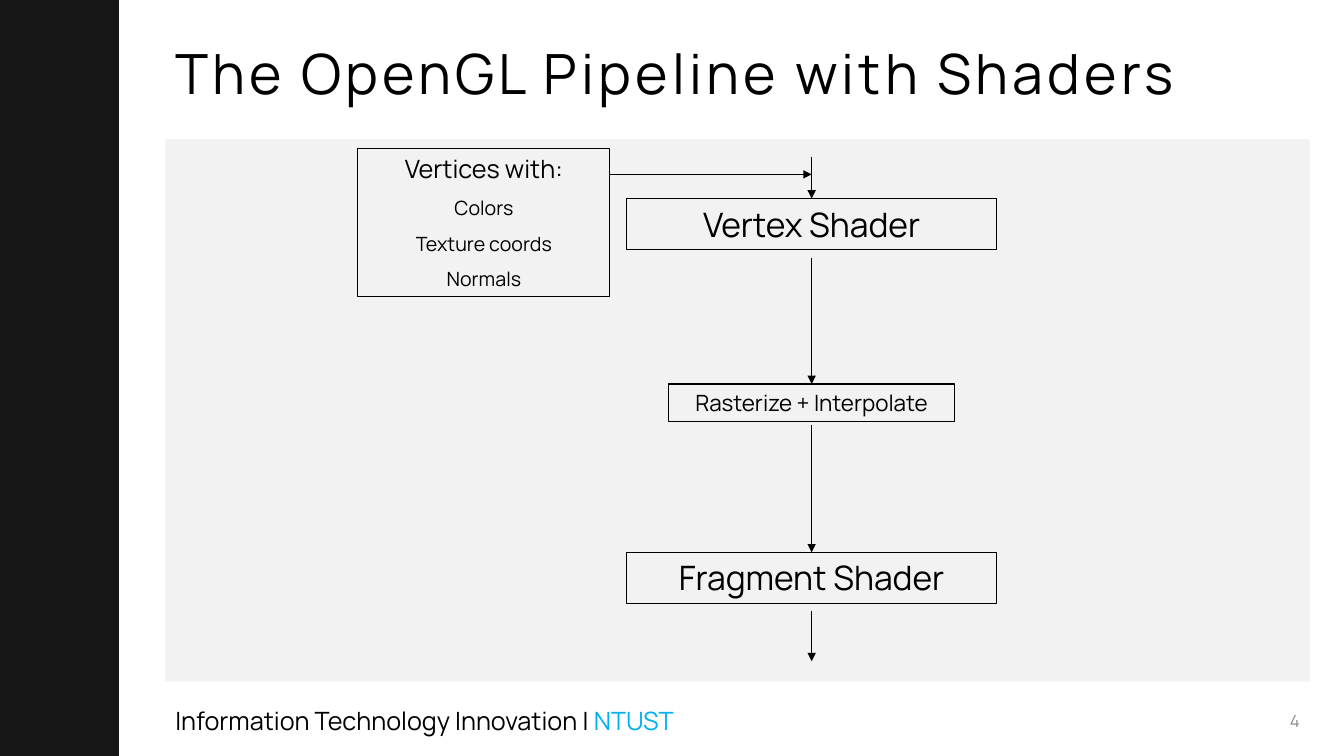
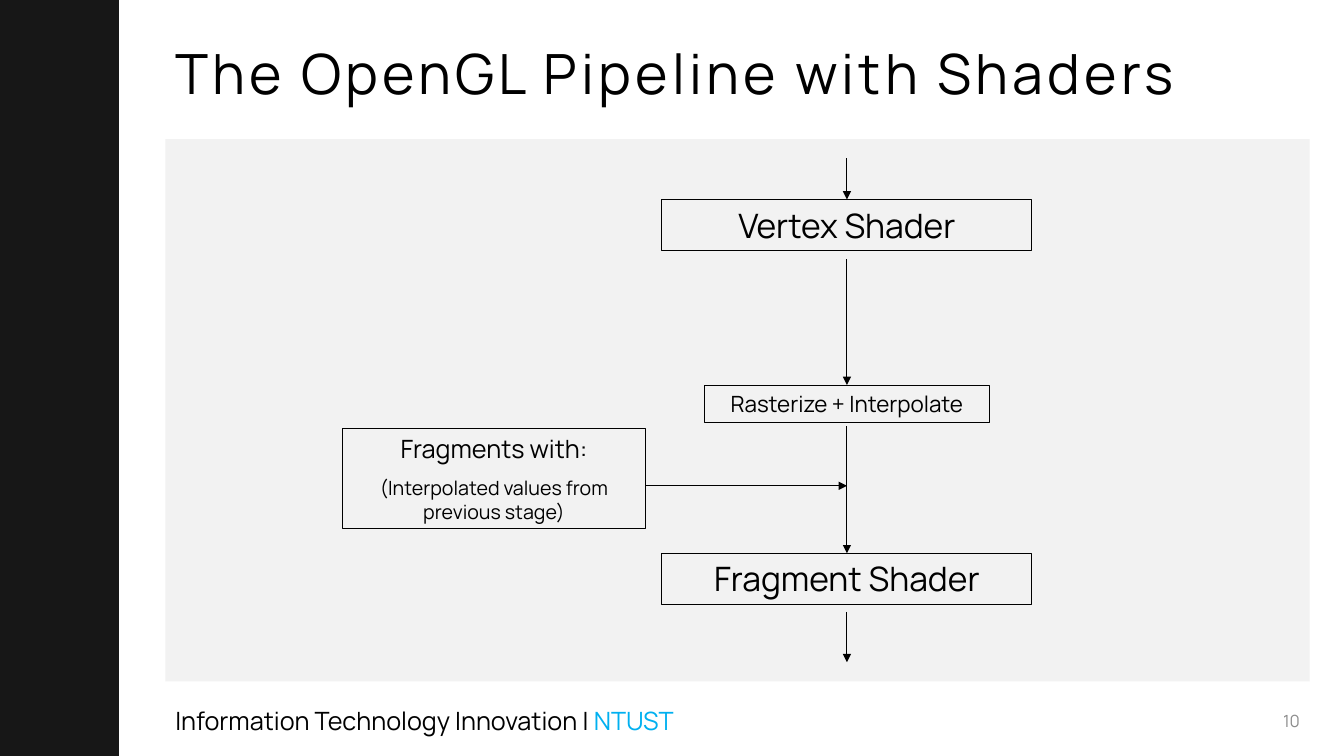
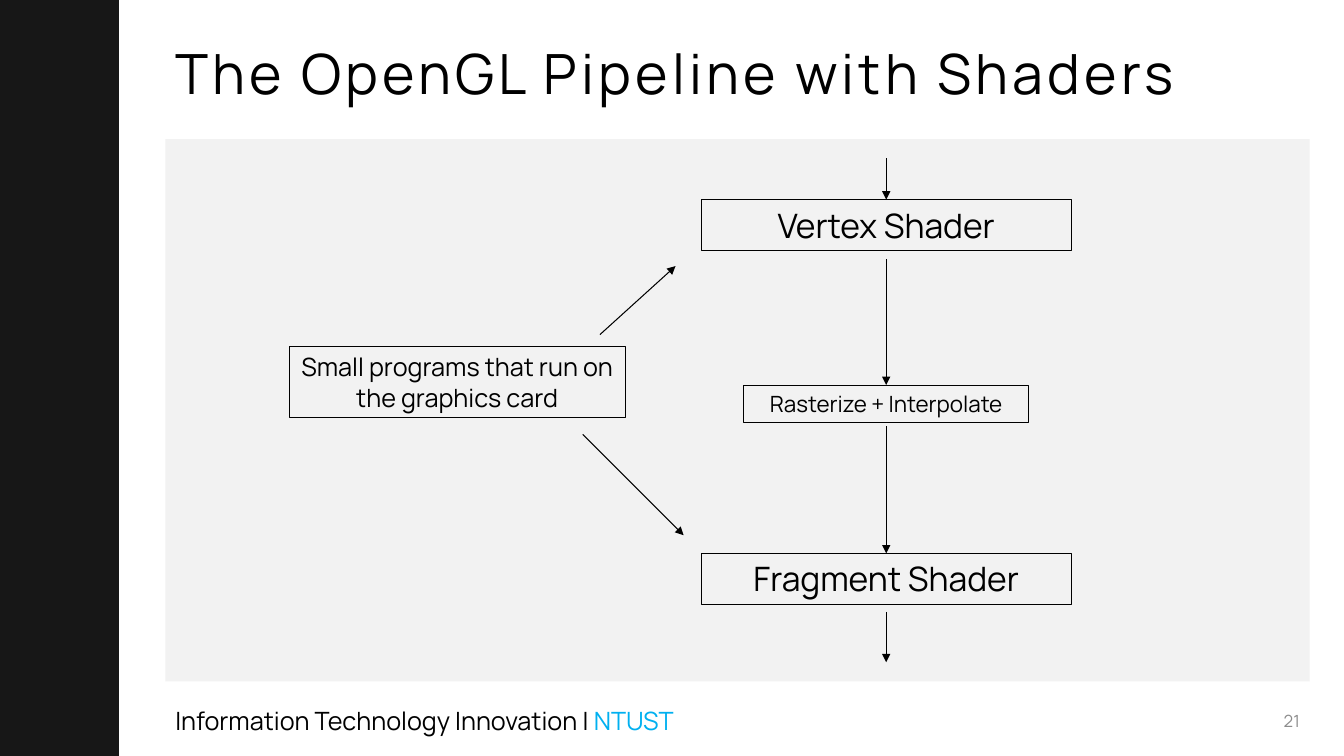
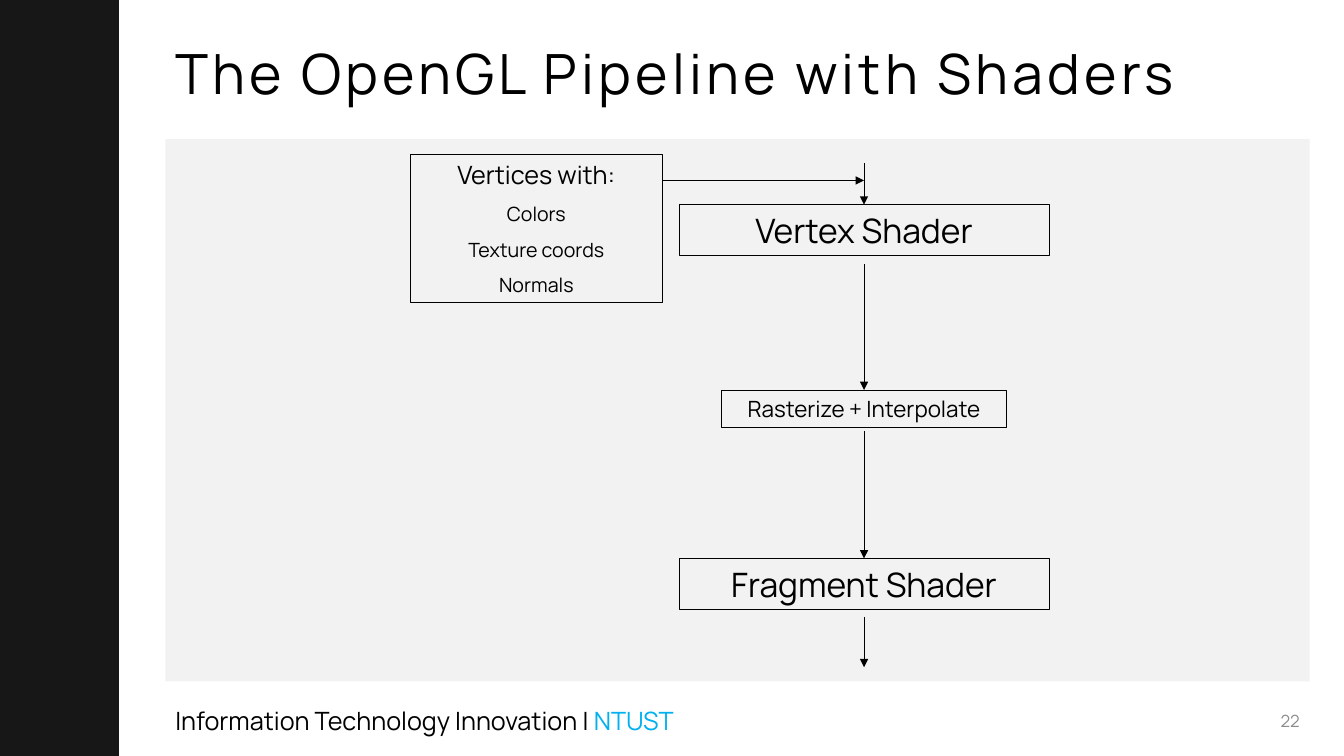
import pptx
import pptx.dml.color
import pptx.enum.shapes
import pptx.enum.text
import pptx.oxml
import pptx.oxml.ns
import pptx.util
from pptx.util import Inches

BLACK = "000000"
BAND = "171717"
PANEL = "F2F2F2"
ACCENT = "00B0F0"
GREY = "8C8C8C"
RECTANGLE = pptx.enum.shapes.MSO_SHAPE.RECTANGLE
STRAIGHT = pptx.enum.shapes.MSO_CONNECTOR.STRAIGHT
ALIGN = pptx.enum.text.PP_ALIGN
MIDDLE = pptx.enum.text.MSO_ANCHOR.MIDDLE
FIT = pptx.enum.text.MSO_AUTO_SIZE


def color(value):
    return pptx.dml.color.RGBColor.from_string(value)


def add_run(paragraph, text, size, value=BLACK):
    run = paragraph.add_run()
    run.text = text
    run.font.name = "Manrope"
    run.font.size = pptx.util.Pt(size)
    run.font.color.rgb = color(value)
    return run


vertices = [("Vertices with:", 18), ("Colors", 14), ("Texture coords", 14), ("Normals", 14)]
fragments = [("Fragments with:", 18), ("(Interpolated values from previous stage)", 14)]
programs = [("Small programs that run on the graphics card", 18)]

# number, pipeline axis, pipeline top, note box, note lines, note arrows
pages = [
    ("4", 8.05, 1.56, (3.55, 1.47, 2.5, 1.47), vertices, [(6.05, 1.73, 8.05, 1.73)]),
    ("10", 8.4, 1.57, (3.4, 4.25, 3, 0.99), fragments, [(6.4, 4.82, 8.4, 4.82)]),
    ("21", 8.79, 1.57, (2.87, 3.44, 3.33, 0.7), programs,
     [(5.95, 3.32, 6.7, 2.64), (5.78, 4.31, 6.78, 5.31)]),
    ("22", 8.57, 1.62, (4.07, 1.53, 2.5, 1.47), vertices, [(6.57, 1.79, 8.57, 1.79)]),
]

# label, size, offset from the top, width, height, offset of the incoming arrow
stages = [
    ("Vertex Shader", 24, 0.41, 3.67, 0.51, 0),
    ("Rasterize + Interpolate", 16, 2.25, 2.83, 0.37, 1),
    ("Fragment Shader", 24, 3.92, 3.67, 0.51, 2.66),
]

presentation = pptx.Presentation()
presentation.slide_width = Inches(13.33)
presentation.slide_height = Inches(7.5)

layout = presentation.slide_layouts[5]
for placeholder in list(layout.placeholders):
    if placeholder.placeholder_format.idx:
        layout.shapes.element.remove(placeholder.element)
slides = [presentation.slides.add_slide(layout) for page in pages]

shared = []
for left, top, width, height, fill in [(1.64, 1.38, 11.35, 5.38, PANEL), (0, 0, 1.18, 7.5, BAND)]:
    shape = slides[0].shapes.add_shape(
        RECTANGLE, Inches(left), Inches(top), Inches(width), Inches(height))
    shape.shadow.inherit = False
    shape.fill.solid()
    shape.fill.fore_color.rgb = color(fill)
    shape.line.fill.background()
    shared.append(shape)
footer = slides[0].shapes.add_textbox(Inches(1.64), Inches(6.95), Inches(5.6), Inches(0.4))
footer.text_frame.word_wrap = True
add_run(footer.text_frame.paragraphs[0], "Information Technology Innovation | ", 18)
add_run(footer.text_frame.paragraphs[0], "NTUST", 18, ACCENT)
shared.append(footer)
for shape in shared:
    layout.shapes.element.append(shape.element)

for slide, (number, axis, start, note_box, note_lines, note_arrows) in zip(slides, pages):
    title = slide.shapes.title
    title.left, title.top, title.width, title.height = (
        Inches(1.64), Inches(0.4), Inches(11.35), Inches(0.72))
    title.text_frame.auto_size = FIT.NONE
    title.text_frame.vertical_anchor = MIDDLE
    paragraph = title.text_frame.paragraphs[0]
    paragraph.alignment = ALIGN.LEFT
    paragraph.line_spacing = 0.9
    run = add_run(paragraph, "The OpenGL Pipeline with Shaders", 39.6)
    run.font._element.set("spc", "300")

    page_number = slide.shapes.add_textbox(Inches(9.99), Inches(6.95), Inches(3), Inches(0.4))
    page_number.text_frame.word_wrap = True
    page_number.text_frame.vertical_anchor = MIDDLE
    page_number.text_frame.paragraphs[0].alignment = ALIGN.RIGHT
    add_run(page_number.text_frame.paragraphs[0], number, 12, GREY)

    boxes = [(note_box, note_lines)]
    arrows = [(arrow, None) for arrow in note_arrows]
    for label, size, offset, width, height, arrow_offset in stages:
        arrows.append(((axis, start + arrow_offset, axis, start + offset), len(boxes)))
        boxes.append(((axis - width / 2, start + offset, width, height), [(label, size)]))
    arrows.append(((axis, start + 4.5, axis, start + 5), None))

    shapes = []
    for position, lines in boxes:
        shape = slide.shapes.add_shape(RECTANGLE, *[Inches(value) for value in position])
        shape.shadow.inherit = False
        shape.fill.background()
        shape.line.color.rgb = color(BLACK)
        shape.line.width = pptx.util.Pt(0.75)
        frame = shape.text_frame
        frame.word_wrap = True
        frame.auto_size = FIT.SHAPE_TO_FIT_TEXT
        frame.vertical_anchor = pptx.enum.text.MSO_ANCHOR.TOP
        for index, (text, size) in enumerate(lines):
            paragraph = frame.add_paragraph() if index else frame.paragraphs[0]
            paragraph.alignment = ALIGN.CENTER
            if index:
                paragraph.space_before = pptx.util.Pt(8.8)
            add_run(paragraph, text, size)
        shapes.append(shape)

    for points, target in arrows:
        connector = slide.shapes.add_connector(STRAIGHT, *[Inches(value) for value in points])
        if target:
            connector.end_connect(shapes[target], 0)
        connector.line.color.rgb = color(BLACK)
        connector.line.width = pptx.util.Pt(0.75)
        tail = pptx.oxml.parse_xml(
            '<a:tailEnd %s type="triangle"/>' % pptx.oxml.ns.nsdecls("a"))
        connector.line._get_or_add_ln().append(tail)
        effects = pptx.oxml.parse_xml("<a:effectLst %s/>" % pptx.oxml.ns.nsdecls("a"))
        connector.element.spPr.append(effects)

presentation.save("out.pptx")
